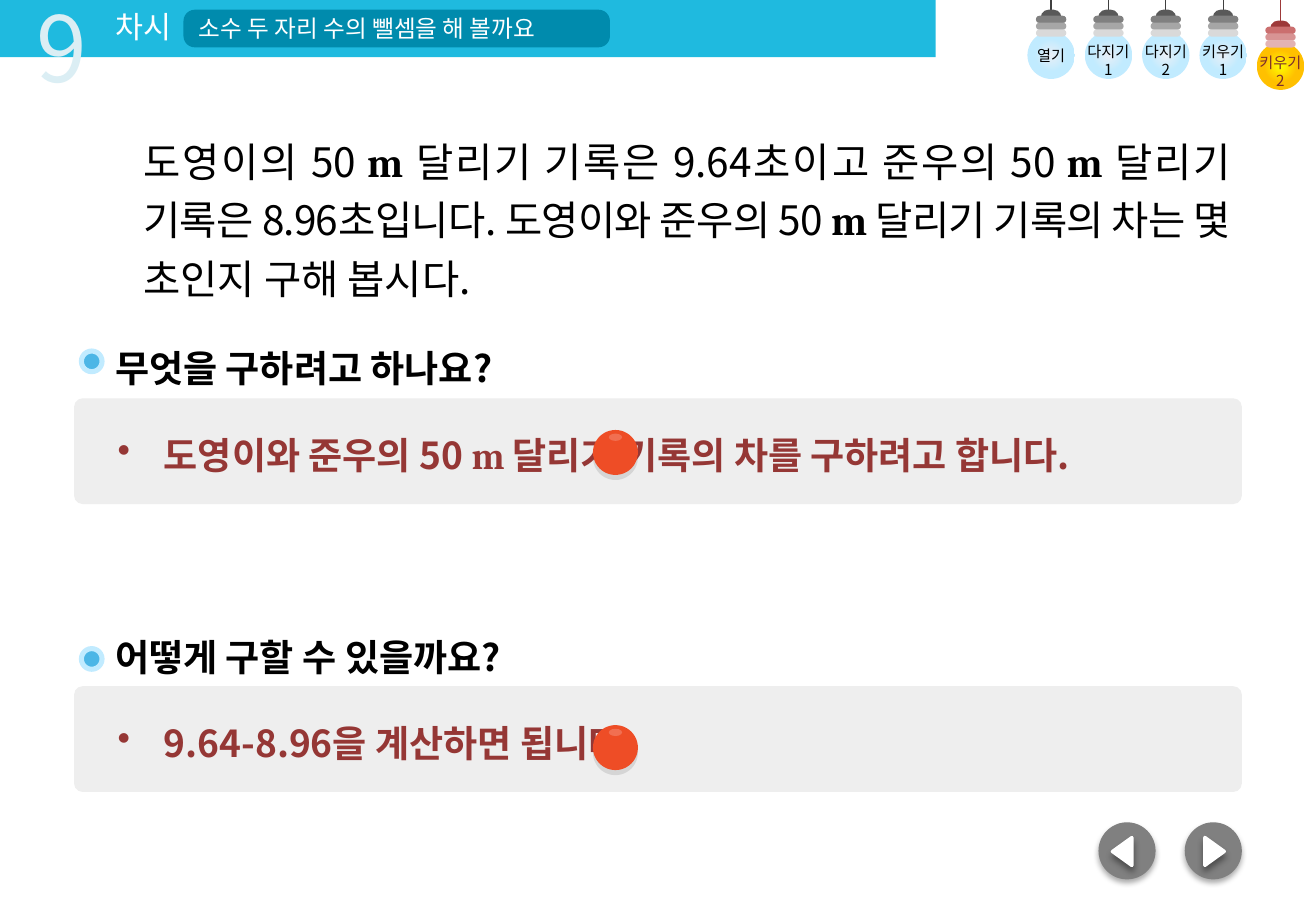
from dataclasses import dataclass
from typing import Optional

from lxml import etree
from pptx import Presentation
from pptx import util as u
from pptx.dml.color import RGBColor
from pptx.enum import shapes, text
from pptx.oxml.ns import qn

# Grid: columns and rows of a tenth of an inch
CELL = u.Inches(0.1)
COLUMNS, ROWS = 108.3, 75
SANS, SERIF = "Noto Sans CJK KR", "Cambria"
COLORS = {
    "banner": "1FBADF", "title": "008BAD", "number": "DBEEF4", "white": "FFFFFF",
    "black": "000000", "panel": "EEEEEE", "answer": "953735", "dot": "4CB6E6",
    "ring": "C1EBFF", "button": "808080", "ball": "EE4D26", "shine": "F16F51",
}
LAMP_OFF = {"cord": "404040", "socket": "595959", "rings": ("808080", "A6A6A6", "D9D9D9"),
            "glow": ("E9EFF7", "C1EBFF"), "label": "000000"}
LAMP_ON = {"cord": "9D3939", "socket": "9D3939", "rings": ("CB6F6F", "D89494", "E3B3B3"),
           "glow": ("FFFF00", "FFC000"), "label": "7B2D2D"}
KIND = shapes.MSO_SHAPE


@dataclass
class Box:
    left: float
    top: float
    width: float
    height: float

    def lengths(self) -> list:
        return [round(n * CELL) for n in (self.left, self.top, self.width, self.height)]


@dataclass
class Run:
    text: str
    font: str = SANS
    bold: bool = False
    spacing: float = 0


@dataclass
class Shadow:
    alpha: int
    blur: float
    distance: float


@dataclass
class Section:
    question: str
    answer: list
    panel_top: float
    question_top: float
    question_spacing: float
    dot_top: float
    ball_top: float


@dataclass
class Lamp:
    label: tuple
    palette: dict
    drop: float = 0


SECTIONS = [
    Section("무엇을 구하려고 하나요?",
            [Run("도영이와 준우의 50 ", bold=True), Run("m ", SERIF, True),
             Run("달리기 기록의 차를 구하려고 합니다.", bold=True)],
            32.8, 27.2, 1.2, 28.9, 35.4),
    Section("어떻게 구할 수 있을까요?", [Run("9.64-8.96을 계산하면 됩니다.", bold=True)],
            56.5, 51.7, 1.0, 53.4, 59.7),
]
LAMPS = [Lamp(("열기",), LAMP_OFF), Lamp(("다지기", "1"), LAMP_OFF),
         Lamp(("다지기", "2"), LAMP_OFF), Lamp(("키우기", "1"), LAMP_OFF),
         Lamp(("키우기", "2"), LAMP_ON, 0.9)]
METRE = Run("m ", SERIF, True)
PROBLEM = [Run("도영이의 50 "), METRE, Run("달리기 기록은 9.64초이고 준우의 50 "), METRE,
           Run("달리기 "), Run("기록은 8.96초입니다. 도영이와 준우의 50 ", spacing=-0.5),
           Run("m ", SERIF, True, -0.5), Run("달리기 기록의 차는 ", spacing=-0.5),
           Run("몇 초인지 구해 봅시다.")]


def rgb(color: str) -> RGBColor:
    return RGBColor.from_string(COLORS.get(color, color))


def add_shape(slide, kind, box: Box, fill: Optional[str] = None, line: Optional[tuple] = None,
              radius: Optional[float] = None, shadow: Optional[Shadow] = None, rotation: float = 0):
    shape = slide.shapes.add_shape(kind, *box.lengths())
    shape.shadow.inherit = False
    shape.rotation = rotation
    if radius is not None:
        shape.adjustments[0] = radius
    if fill:
        shape.fill.solid()
        shape.fill.fore_color.rgb = rgb(fill)
    if line:
        shape.line.color.rgb, shape.line.width = rgb(line[0]), u.Pt(line[1])
    else:
        shape.line.fill.background()
    if shadow:
        effects = shape._element.spPr.find(qn("a:effectLst"))
        outer = etree.SubElement(effects, qn("a:outerShdw"), {
            "blurRad": str(u.Pt(shadow.blur)), "dist": str(u.Pt(shadow.distance)),
            "dir": "5400000", "algn": "t", "rotWithShape": "0"})
        color = etree.SubElement(outer, qn("a:srgbClr"), {"val": COLORS["black"]})
        etree.SubElement(color, qn("a:alpha"), {"val": str(shadow.alpha * 1000)})
    return shape


def add_glow(shape, colors: tuple) -> None:
    shape.fill.gradient()
    for stop, position, color in zip(shape.fill.gradient_stops, (0, 0.5), colors):
        stop.position, stop.color.rgb = position, rgb(color)
    gradient = shape._element.spPr.find(qn("a:gradFill"))
    gradient.remove(gradient.find(qn("a:lin")))
    circle = etree.SubElement(gradient, qn("a:path"), {"path": "circle"})
    etree.SubElement(circle, qn("a:fillToRect"), {side: "50000" for side in "ltrb"})


def write(frame, lines: list, size: float, color: str, align=text.PP_ALIGN.LEFT,
          spacing: float = 1.0, bullet: bool = False) -> None:
    for index, runs in enumerate(lines):
        paragraph = frame.add_paragraph() if index else frame.paragraphs[0]
        if bullet:
            properties = paragraph._p.get_or_add_pPr()
            properties.set("marL", str(round(3.8 * CELL)))
            properties.set("indent", str(round(-3.8 * CELL)))
            etree.SubElement(properties, qn("a:buChar"), {"char": "•"})
        paragraph.alignment, paragraph.line_spacing = align, spacing
        for item in runs:
            run = paragraph.add_run()
            run.text = item.text
            for name, value in {"size": u.Pt(size), "bold": item.bold, "name": item.font}.items():
                setattr(run.font, name, value)
            run.font.color.rgb = rgb(color)
            run_properties = run._r.get_or_add_rPr()
            etree.SubElement(run_properties, qn("a:ea"), {"typeface": item.font})
            if item.spacing:
                run_properties.set("spc", str(round(item.spacing * 100)))


def add_text(slide, box: Box, lines: list, size: float, color: str, wrap: bool = True, **layout) -> None:
    frame = slide.shapes.add_textbox(*box.lengths()).text_frame
    frame.word_wrap = wrap
    frame.auto_size = text.MSO_AUTO_SIZE.SHAPE_TO_FIT_TEXT
    write(frame, lines, size, color, **layout)


def add_section(slide, section: Section) -> None:
    add_shape(slide, KIND.ROUNDED_RECTANGLE, Box(6.1, section.panel_top, 96.1, 8.7), "panel", radius=0.08)
    add_text(slide, Box(8.5, section.question_top, 93.8, 5), [[Run(section.question, bold=True)]],
             22, "black", spacing=section.question_spacing)
    add_shape(slide, KIND.OVAL, Box(6.7, section.dot_top, 1.7, 1.7), "dot", ("ring", 3))
    add_text(slide, Box(8.7, section.panel_top + 1.6, 91.1, 5.5), [section.answer], 22, "answer",
             spacing=1.2, bullet=True)
    add_shape(slide, KIND.OVAL, Box(48.8, section.ball_top, 3.7, 3.7), "ball", shadow=Shadow(10, 0, 3))
    add_shape(slide, KIND.OVAL, Box(50.1, section.ball_top + 0.3, 1.1, 0.6), "shine")


def add_lamp(slide, lamp: Lamp, center: float) -> None:
    palette, drop = lamp.palette, lamp.drop
    start, end = round(center * CELL), round((1 + drop) * CELL)
    cord = slide.shapes.add_connector(shapes.MSO_CONNECTOR.STRAIGHT, start, 0, start, end)
    cord.line.color.rgb, cord.line.width = rgb(palette["cord"]), u.Pt(0.75)
    etree.SubElement(cord._element.spPr, qn("a:effectLst"))
    add_shape(slide, KIND.ROUNDED_RECTANGLE, Box(center - 0.85, 0.8 + drop, 1.7, 1.3),
              palette["socket"], radius=0.5)
    bulb = add_shape(slide, KIND.OVAL, Box(center - 1.95, 2.6 + drop, 3.9, 3.9))
    add_glow(bulb, palette["glow"])
    for index, color in enumerate(palette["rings"]):
        add_shape(slide, KIND.ROUNDED_RECTANGLE,
                  Box(center - 1.25, 1.3 + 0.56 * index + drop, 2.5, 0.6), color, radius=0.5)
    count = len(lamp.label)
    add_text(slide, Box(center - 2.8, 3.6 - 0.3 * count + drop, 5.6, 1 + 1.5 * count),
             [[Run(line)] for line in lamp.label], 9, palette["label"], wrap=False,
             align=text.PP_ALIGN.CENTER)


def add_button(slide, left: float, arrow_left: float, rotation: float) -> None:
    add_shape(slide, KIND.OVAL, Box(left, 67.7, 4.7, 4.7), "button", shadow=Shadow(32, 3.5, 2.2))
    add_shape(slide, KIND.ISOSCELES_TRIANGLE, Box(arrow_left, 69.3, 2.3, 1.6), "white",
              ("white", 2), shadow=Shadow(40, 4, 3), rotation=rotation)


def main() -> None:
    presentation = Presentation()
    presentation.slide_width, presentation.slide_height = round(COLUMNS * CELL), ROWS * CELL
    slide = presentation.slides.add_slide(presentation.slide_layouts[6])

    # Banner with lesson number and title
    add_shape(slide, KIND.RECTANGLE, Box(0, 0, 77, 4.7), "banner")
    title = add_shape(slide, KIND.ROUNDED_RECTANGLE, Box(15.1, 0.8, 35.1, 3.1), "title", radius=0.3)
    title.text_frame.vertical_anchor = text.MSO_ANCHOR.MIDDLE
    write(title.text_frame, [[Run("소수 두 자리 수의 뺄셈을 해 볼까요")]], 14, "white")
    for label, box, size, color in (("차시", Box(8.4, 0.2, 6.8, 4), 18, "white"),
                                    ("9", Box(1.8, -1.2, 6.6, 10.1), 54, "number")):
        add_text(slide, box, [[Run(label)]], size, color, wrap=False, align=text.PP_ALIGN.CENTER)

    # Questions with answers
    for section in SECTIONS:
        add_section(slide, section)

    # Navigation
    add_button(slide, 97.5, 98.8, 90)
    add_button(slide, 90.4, 91.2, 270)
    for index, lamp in enumerate(LAMPS):
        add_lamp(slide, lamp, 86.5 + 4.72 * index)

    # Problem statement
    add_text(slide, Box(10.8, 10, 91.5, 15.6), [PROBLEM], 24, "black",
             align=text.PP_ALIGN.JUSTIFY, spacing=1.2)
    presentation.save("out.pptx")


if __name__ == "__main__":
    main()
